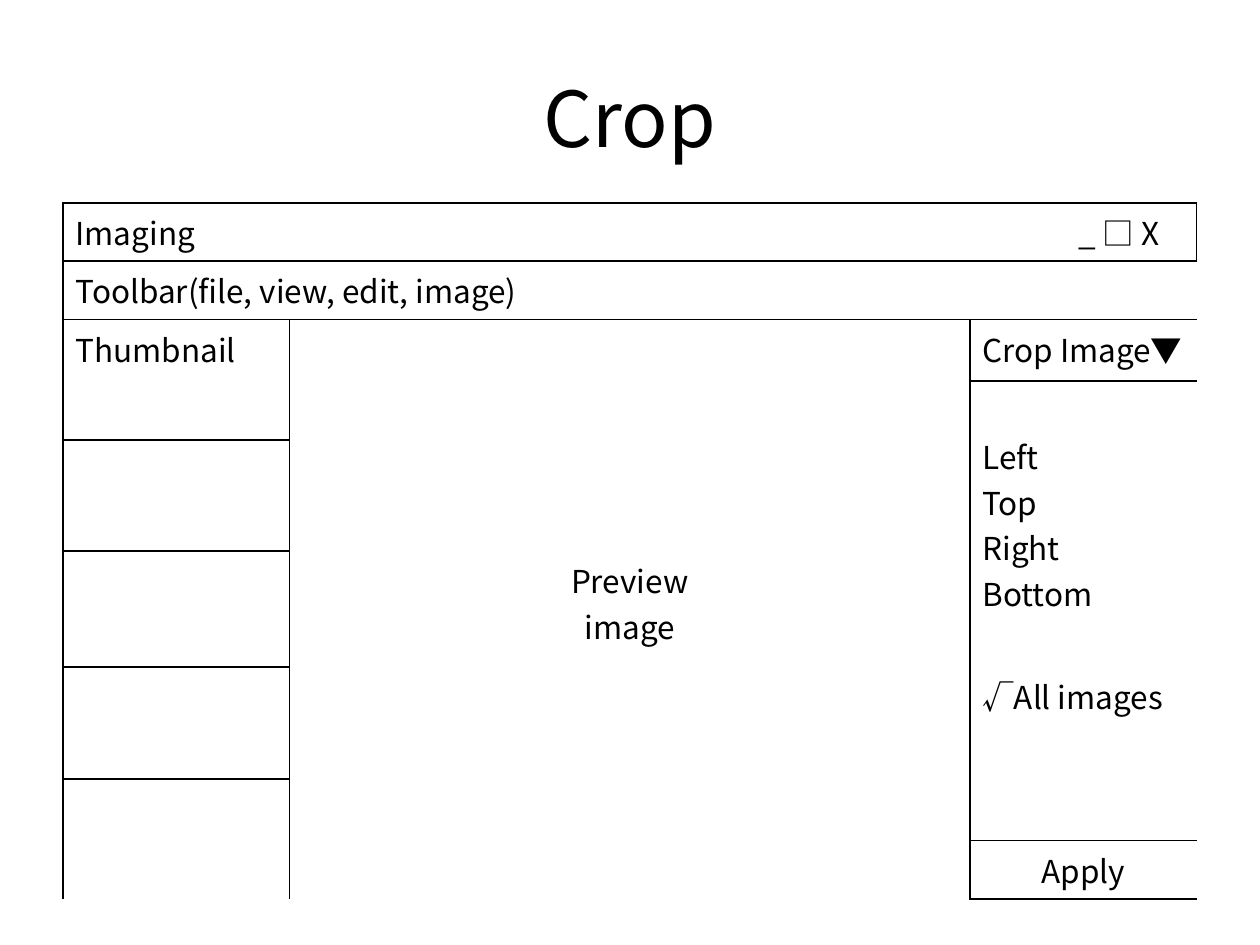
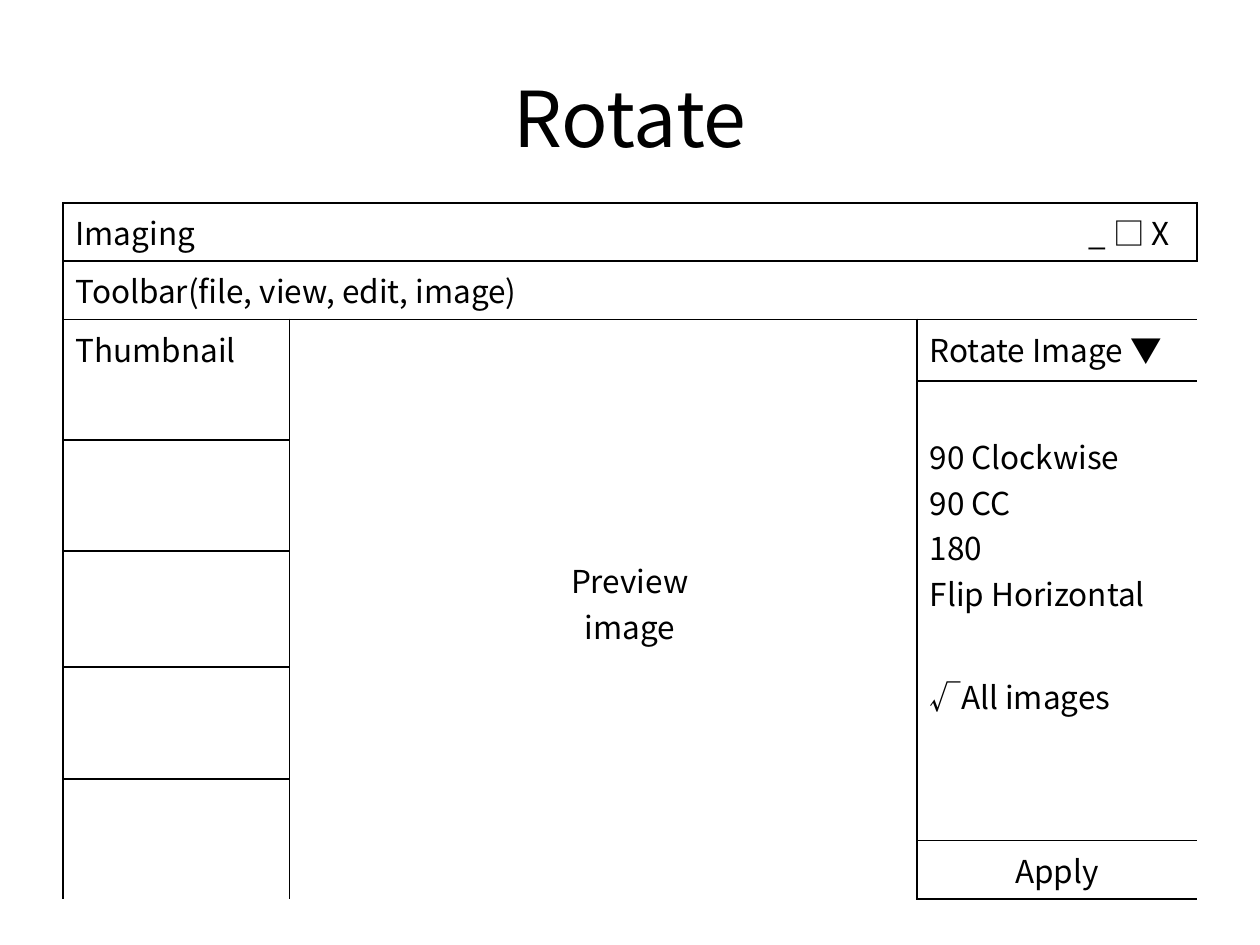
import itertools

import lxml.etree
import pptx
import pptx.dml.color
import pptx.enum.text
import pptx.oxml.ns
import pptx.util

Cm, Pt = pptx.util.Cm, pptx.util.Pt
qn = pptx.oxml.ns.qn
ALIGN = pptx.enum.text.PP_ALIGN

FONT = "Noto Sans CJK KR"
BLACK = "000000"
PLAIN_STYLE = "{2D5ABB26-0587-4C30-8999-92F81FD0307C}"

# One entry per slide: the options panel differs, the window does not.
SCREENS = [
    {"title": "Crop", "panel": "Crop Image▼",
     "options": ["Left", "Top", "Right", "Bottom"],
     "columns": [4.57, 4.57, 4.57, 4.57, 1.93, 2.64]},
    {"title": "Rotate", "panel": "Rotate Image ▼",
     "options": ["90 Clockwise", "90 CC", "180", "Flip Horizontal"],
     "columns": [4.57, 4.57, 4.57, 3.51, 3.2, 2.44]},
]
ROWS = [1.17, 1.17, 1.24, 1.19, 2.24, 2.34, 2.26, 1.24, 1.17]

# Ranges are (first row, first column, last row, last column).
THUMBNAILS = [(2, 0, 3, 0), (4, 0, 4, 0), (5, 0, 5, 0), (6, 0, 6, 0), (7, 0, 8, 0)]
TITLE_BAR, TOOLBAR = (0, 0, 0, 5), (1, 0, 1, 5)
PREVIEW = (2, 1, 8, 3)
PANEL_HEAD, PANEL, APPLY = (2, 4, 2, 5), (3, 4, 7, 5), (8, 4, 8, 5)
FRAMES = [TITLE_BAR, TOOLBAR, *THUMBNAILS, PREVIEW, PANEL_HEAD, PANEL, APPLY]
MERGES = [(0, 0, 0, 4), TOOLBAR, THUMBNAILS[0], PANEL_HEAD, (3, 4, 5, 5),
          (6, 4, 6, 5), (7, 4, 7, 5), APPLY,
          *[(7, col, 8, col) for col in range(4)]]


def rgb(code):
    """Turn a hex string into a colour."""
    return pptx.dml.color.RGBColor.from_string(code)


def style(p, size, align):
    """Give a paragraph its font, size, colour and alignment."""
    p.alignment = align
    p.font.name, p.font.size = FONT, Pt(size)
    p.font.color.rgb = rgb(BLACK)
    props = p._p.pPr.find(qn("a:defRPr"))
    lxml.etree.SubElement(props, qn("a:ea"), typeface=FONT)


def write(cell, lines, align=ALIGN.LEFT):
    """Put one paragraph per line into a cell."""
    tf = cell.text_frame
    tf.text = "\n".join(lines)
    for p in tf.paragraphs:
        style(p, 18, align)


def set_border(cell, side, visible):
    """Draw or hide one side (L, R, T or B) of a cell."""
    tc_pr = cell._tc.get_or_add_tcPr()
    line = lxml.etree.SubElement(tc_pr, qn("a:ln" + side), w=str(Pt(1)))
    if visible:
        fill = lxml.etree.SubElement(line, qn("a:solidFill"))
        lxml.etree.SubElement(fill, qn("a:srgbClr"), val=BLACK)
    else:
        lxml.etree.SubElement(line, qn("a:noFill"))


def draw_frame(table, frame):
    """Outline a range of cells and leave its inside without lines."""
    top, left, bottom, right = frame
    for row, col in itertools.product(range(top, bottom + 1), range(left, right + 1)):
        cell = table.cell(row, col)
        for side, visible in (("L", col == left), ("R", col == right),
                              ("T", row == top), ("B", row == bottom)):
            set_border(cell, side, visible)
        cell.fill.background()


def add_window(slide, screen):
    """Add the window mock-up as a table."""
    columns = screen["columns"]
    sp = slide.shapes.add_table(len(ROWS), len(columns), Cm(1.27), Cm(4.09),
                                Cm(sum(columns)), Cm(sum(ROWS)))
    table = sp.table
    table.first_row = table.horz_banding = False
    table._tbl.tblPr.find(qn("a:tableStyleId")).text = PLAIN_STYLE
    for column, width in zip(table.columns, columns):
        column.width = Cm(width)
    for row, height in zip(table.rows, ROWS):
        row.height = Cm(height)
    for cell in table.iter_cells():
        write(cell, [""])
    for frame in FRAMES:
        draw_frame(table, frame)
    for top, left, bottom, right in MERGES:
        table.cell(top, left).merge(table.cell(bottom, right))

    write(table.cell(0, 0), ["Imaging"])
    write(table.cell(0, 5), ["_ □ Χ"])
    write(table.cell(1, 0), ["Toolbar(file, view, edit, image)"])
    write(table.cell(2, 0), ["Thumbnail"])
    write(table.cell(5, 2), ["Preview image"], ALIGN.CENTER)
    write(table.cell(2, 4), [screen["panel"]])
    options = table.cell(3, 4)
    options.margin_top = Cm(1.05)
    write(options, screen["options"])
    write(table.cell(6, 4), ["√All images"])
    write(table.cell(8, 4), ["Apply"], ALIGN.CENTER)


def add_screen(prs, screen):
    """Add one slide with its title and window."""
    slide = prs.slides.add_slide(prs.slide_layouts[5])
    title = slide.shapes.title
    title.left, title.top = Cm(1.27), Cm(0.76)
    title.width, title.height = Cm(22.86), Cm(3.18)
    tf = title.text_frame
    tf.text = screen["title"]
    tf.vertical_anchor = pptx.enum.text.MSO_ANCHOR.MIDDLE
    style(tf.paragraphs[0], 44, ALIGN.CENTER)
    add_window(slide, screen)


prs = pptx.Presentation()
prs.slide_width, prs.slide_height = Cm(25.4), Cm(19.05)
for screen in SCREENS:
    add_screen(prs, screen)
prs.save("out.pptx")
